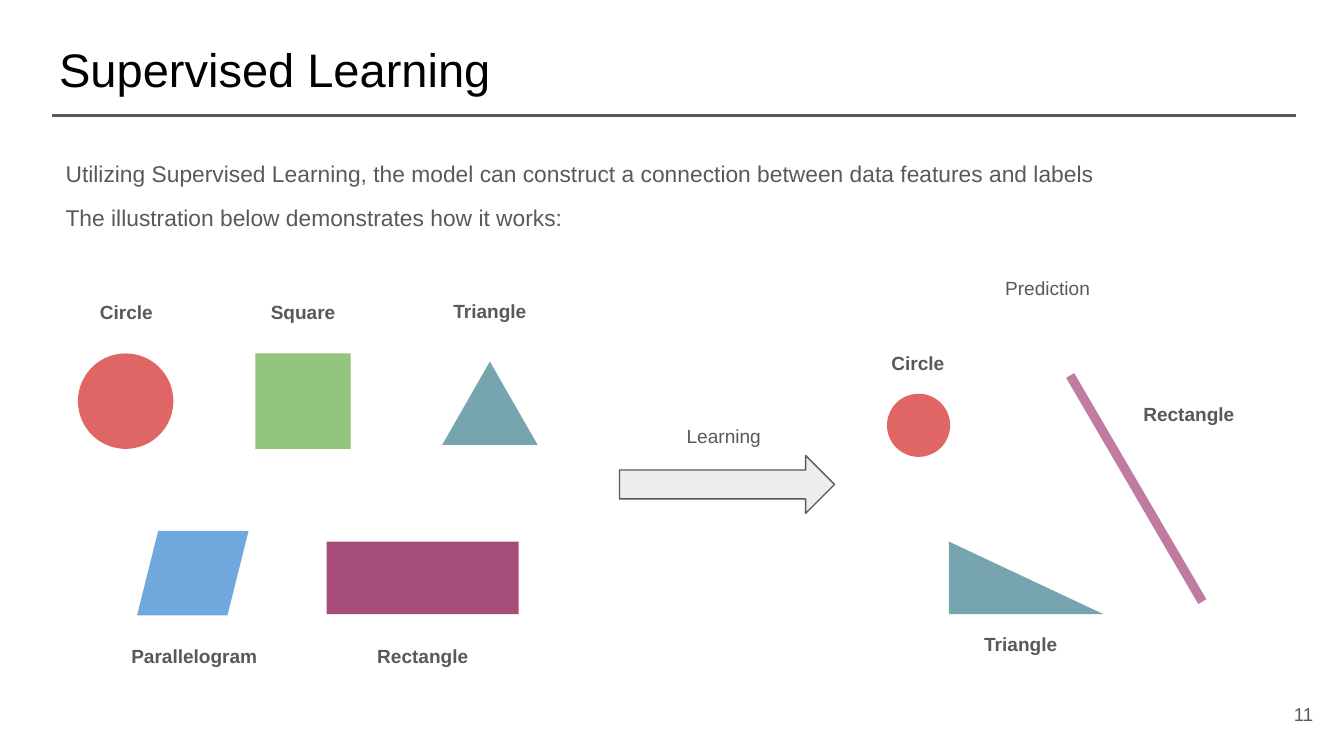
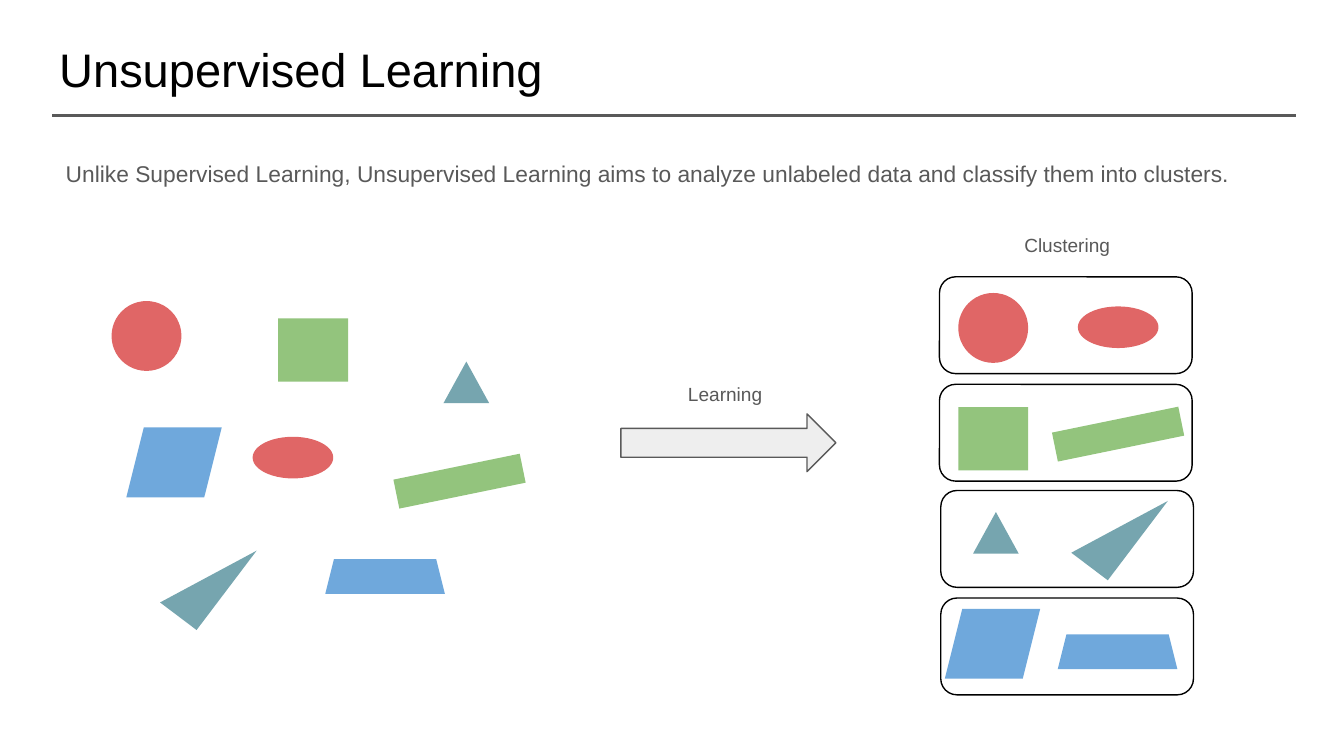
from lxml import etree
from pptx import Presentation
from pptx import util as u
from pptx.dml.color import RGBColor
from pptx.enum import shapes, text
from pptx.oxml.ns import qn

PX = u.Inches(1) // 100
FONT = "Arial"
BLACK, GRAY, PALE = "000000", "595959", "EEEEEE"
RED, GREEN, TEAL = "E06666", "93C47D", "76A5AF"
BLUE, PLUM, PINK = "6FA8DC", "A64D79", "C27BA0"
KIND = shapes.MSO_SHAPE
ALIGN = text.PP_ALIGN

FORMS = {
    "circle": (KIND.OVAL, 52, 52, RED, 0),
    "ellipse": (KIND.OVAL, 60, 31, RED, 0),
    "square": (KIND.RECTANGLE, 52, 47, GREEN, 0),
    "bar": (KIND.RECTANGLE, 96, 22, GREEN, 348.4),
    "triangle": (KIND.ISOSCELES_TRIANGLE, 34, 31, TEAL, 0),
    "wedge": (KIND.RIGHT_TRIANGLE, 74, 34, TEAL, 307.1),
    "parallelogram": (KIND.PARALLELOGRAM, 71, 52, BLUE, 0),
    "trapezoid": (KIND.TRAPEZOID, 89, 26, BLUE, 0),
}


def rgb(color):
    return RGBColor.from_string(color)


def px(*values):
    return [v * PX for v in values]


def write(sp, lines, size, color, align=ALIGN.LEFT, bold=False, spacing=None,
          wrap=True, anchor=text.MSO_ANCHOR.TOP):
    tf = sp.text_frame
    tf.text = "\n".join(lines)
    tf.word_wrap = wrap
    tf.auto_size = text.MSO_AUTO_SIZE.NONE
    tf.vertical_anchor = anchor
    tf.margin_left = tf.margin_right = tf.margin_top = tf.margin_bottom = 10 * PX
    for i, p in enumerate(tf.paragraphs):
        p.alignment = align
        p.line_spacing = spacing
        if i:
            p.space_before = p.space_after = u.Pt(12)
        for r in p.runs:
            r.font.name = FONT
            r.font.size = u.Pt(size)
            r.font.bold = bold
            r.font.color.rgb = rgb(color)


def add_body(s, x, y, w, h, lines):
    sp = s.shapes.add_textbox(*px(x, y, w, h))
    write(sp, lines, 12.2, GRAY, spacing=0.8)


def add_label(s, x, y, w, label, bold=True):
    sp = s.shapes.add_textbox(*px(x, y, w, 31))
    write(sp, [label], 10.2, GRAY, ALIGN.CENTER, bold, 0.8, wrap=False)


def add_page_number(s, number):
    sp = s.shapes.add_textbox(*px(927, 510, 60, 43))
    write(sp, [number], 10, GRAY, ALIGN.RIGHT, anchor=text.MSO_ANCHOR.MIDDLE)


def add_figure(s, kind, x, y, w, h, fill=None, rotation=0, line=None):
    sp = s.shapes.add_shape(kind, *px(x, y, w, h))
    sp.shadow.inherit = False
    sp.rotation = rotation
    if fill:
        sp.fill.solid()
        sp.fill.fore_color.rgb = rgb(fill)
    else:
        sp.fill.background()
    if line:
        sp.line.color.rgb = rgb(line)
        sp.line.width = u.Pt(0.75)
    else:
        sp.line.fill.background()


def add_form(s, name, x, y):
    kind, w, h, fill, rotation = FORMS[name]
    add_figure(s, kind, x, y, w, h, fill, rotation)


def add_learning_arrow(s, x, y):
    add_figure(s, KIND.RIGHT_ARROW, x, y, 160, 43, PALE, line=GRAY)
    add_label(s, x + 36, y - 30, 83, "Learning", bold=False)


def add_titled_slide(prs, title):
    s = prs.slides.add_slide(prs.slide_layouts[5])
    sp = s.shapes.title
    sp.left, sp.top, sp.width, sp.height = px(34, 20, 932, 63)
    write(sp, [title], 25.2, BLACK)
    rule = s.shapes.add_connector(shapes.MSO_CONNECTOR.STRAIGHT, *px(39, 86, 964, 86))
    rule.line.color.rgb = rgb(GRAY)
    rule.line.width = u.Pt(1.5)
    etree.SubElement(rule._element.spPr, qn("a:effectLst"))
    return s


def build_supervised(prs):
    s = add_titled_slide(prs, "Supervised Learning")
    add_body(s, 39, 113, 887, 78, [
        "Utilizing Supervised Learning, the model can construct a connection "
        "between data features and labels",
        "The illustration below demonstrates how it works:",
    ])
    add_page_number(s, "11")
    for figure in (
        (KIND.RECTANGLE, 190, 263, 71, 71, GREEN),
        (KIND.OVAL, 58, 263, 71, 71, RED),
        (KIND.ISOSCELES_TRIANGLE, 329, 269, 71, 62, TEAL),
        (KIND.PARALLELOGRAM, 102, 395, 83, 63, BLUE),
        (KIND.RECTANGLE, 243, 403, 143, 54, PLUM),
        (KIND.OVAL, 660, 293, 47, 47, RED),
        (KIND.RIGHT_TRIANGLE, 706, 403, 115, 54, TEAL),
        (KIND.RECTANGLE, 842, 266, 7, 195, PINK, 329.7),
    ):
        add_figure(s, *figure)
    for label in (
        (62, 217, 64, "Circle"),
        (190, 217, 71, "Square"),
        (326, 216, 77, "Triangle"),
        (87, 473, 115, "Parallelogram"),
        (257, 473, 115, "Rectangle"),
        (651, 255, 64, "Circle"),
        (827, 293, 115, "Rectangle"),
        (721, 464, 77, "Triangle"),
        (738, 199, 83, "Prediction", False),
    ):
        add_label(s, *label)
    add_learning_arrow(s, 461, 339)


def build_unsupervised(prs):
    s = add_titled_slide(prs, "Unsupervised Learning")
    add_body(s, 39, 113, 895, 70, [
        "Unlike Supervised Learning, Unsupervised Learning aims to analyze "
        "unlabeled data and classify them into clusters.",
    ])
    for i in range(4):
        add_figure(s, KIND.ROUNDED_RECTANGLE, 699 + i // 2,
                   206 + round(79.6 * i), 188, 72, line=BLACK)
    scattered = (
        ("circle", 83, 224), ("square", 207, 237), ("triangle", 330, 269),
        ("parallelogram", 94, 318), ("ellipse", 188, 325), ("bar", 294, 347),
        ("wedge", 118, 412), ("trapezoid", 242, 416),
    )
    clustered = (
        ("circle", 713, 218), ("ellipse", 802, 228),
        ("square", 713, 303), ("bar", 784, 312),
        ("triangle", 724, 381), ("wedge", 796, 375),
        ("parallelogram", 703, 453), ("trapezoid", 787, 472),
    )
    for form in scattered + clustered:
        add_form(s, *form)
    add_learning_arrow(s, 462, 308)
    add_label(s, 745, 167, 98, "Clustering", bold=False)


def main():
    prs = Presentation()
    prs.slide_width, prs.slide_height = u.Inches(10), u.Inches(5.625)
    build_supervised(prs)
    build_unsupervised(prs)
    prs.save("out.pptx")


if __name__ == "__main__":
    main()
